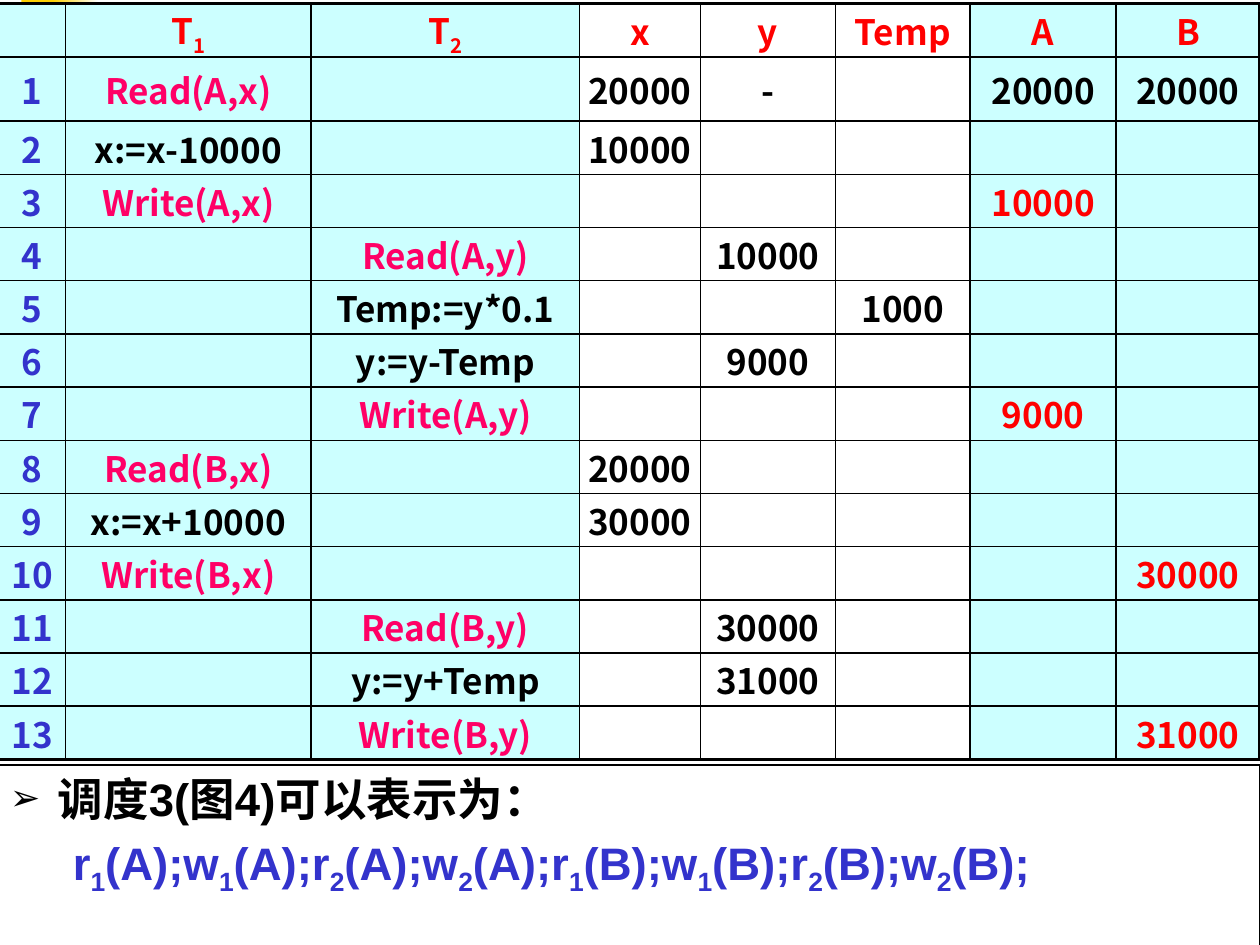
from lxml.etree import SubElement
from pptx import Presentation
from pptx.dml.color import RGBColor
from pptx.enum.shapes import MSO_SHAPE
from pptx.enum.text import MSO_ANCHOR, PP_ALIGN
from pptx.oxml.ns import qn
from pptx.util import Emu, Inches, Pt

CJK = "Noto Sans CJK SC"
BLACK, WHITE, RED, BLUE, PINK = "000000", "FFFFFF", "FF0000", "3333CC", "FF0066"
YELLOW, AQUA = "FFCF01", "CCFFFF"

HEADER = ("", "T_1", "T_2", "x", "y", "Temp", "A", "B")
STEPS = [
    ("Read(A,x)", "", "20000", "-", "", "20000", "20000"),
    ("x:=x-10000", "", "10000", "", "", "", ""),
    ("Write(A,x)", "", "", "", "", "10000", ""),
    ("", "Read(A,y)", "", "10000", "", "", ""),
    ("", "Temp:=y*0.1", "", "", "1000", "", ""),
    ("", "y:=y-Temp", "", "9000", "", "", ""),
    ("", "Write(A,y)", "", "", "", "9000", ""),
    ("Read(B,x)", "", "20000", "", "", "", ""),
    ("x:=x+10000", "", "30000", "", "", "", ""),
    ("Write(B,x)", "", "", "", "", "", "30000"),
    ("", "Read(B,y)", "", "30000", "", "", ""),
    ("", "y:=y+Temp", "", "31000", "", "", ""),
    ("", "Write(B,y)", "", "", "", "", "31000"),
]
CAPTION = "调度3(图4)可以表示为："
SCHEDULE = "r_1(A);w_1(A);r_2(A);w_2(A);r_1(B);w_1(B);r_2(B);w_2(B);"

COLUMN_WIDTHS = (0.53, 1.95, 2.13, 0.96, 1.07, 1.07, 1.16, 1.14)
LEFT, TOP, TABLE_HEIGHT, TALL_ROW = -0.01, 0.03, 6, 0.51
LOCAL_COLUMNS = (3, 4, 5)
DATA_COLUMNS = (6, 7)


def color(value):
    return RGBColor.from_string(value)


def write(paragraph, text, size, font, fill):
    pieces = text.split("_")
    spans = [(pieces[0], False)]
    for piece in pieces[1:]:
        spans += [(piece[0], True), (piece[1:], False)]
    for content, lowered in spans:
        if not content:
            continue
        span = paragraph.add_run()
        span.text = content
        span.font.size = Pt(size)
        span.font.bold = True
        span.font.color.rgb = color(fill)
        span.font.name = font
        properties = span.font._element
        SubElement(properties, qn("a:ea"), typeface=CJK)
        if lowered:
            properties.set("baseline", "-25000")


def add_borders(cell, widths):
    properties = cell._tc.get_or_add_tcPr()
    for side, width in zip("LRTB", widths):
        line = SubElement(properties, qn(f"a:ln{side}"), w=str(Pt(width)))
        solid = SubElement(line, qn("a:solidFill"))
        SubElement(solid, qn("a:srgbClr"), val=BLACK)


def text_color(row, column, text):
    if row == 0:
        return RED
    if column == 0:
        return BLUE
    if text.startswith(("Read", "Write")):
        return PINK
    return RED if row > 1 and column in DATA_COLUMNS else BLACK


def add_schedule_table(slide):
    rows = [HEADER] + [(str(number), *step) for number, step in enumerate(STEPS, 1)]
    last_row, last_column = len(rows) - 1, len(HEADER) - 1
    table = slide.shapes.add_table(
        len(rows), len(HEADER), Inches(LEFT), Inches(TOP),
        Inches(sum(COLUMN_WIDTHS)), Inches(TABLE_HEIGHT)).table
    table.first_row = table.horz_banding = False
    for column, width in zip(table.columns, COLUMN_WIDTHS):
        column.width = Inches(width)
    plain_row = (TABLE_HEIGHT - TALL_ROW) / last_row
    for r, texts in enumerate(rows):
        table.rows[r].height = Inches(TALL_ROW if r == 1 else plain_row)
        for c, text in enumerate(texts):
            cell = table.cell(r, c)
            cell.margin_left = cell.margin_right = Emu(0)
            cell.margin_top = cell.margin_bottom = Emu(0)
            cell.vertical_anchor = MSO_ANCHOR.MIDDLE
            outer = (c == 0, c == last_column, r == 0, r == last_row)
            add_borders(cell, [2.25 if edge else 1 for edge in outer])
            cell.fill.solid()
            cell.fill.fore_color.rgb = color(WHITE if c in LOCAL_COLUMNS else AQUA)
            paragraph = cell.text_frame.paragraphs[0]
            paragraph.alignment = PP_ALIGN.CENTER
            if "_" in text:
                paragraph.line_spacing = 0.95
            write(paragraph, text, 20, CJK, text_color(r, c, text))


def add_rectangle(slide, left, top, width, height):
    box = slide.shapes.add_shape(
        MSO_SHAPE.RECTANGLE, Inches(left), Inches(top), Inches(width), Inches(height))
    box.shadow.inherit = False
    return box


def add_accents(slide):
    accent = add_rectangle(slide, 0.17, 0, 0.48, 0.52)
    accent.fill.solid()
    accent.fill.fore_color.rgb = color(YELLOW)
    fade = add_rectangle(slide, 0.42, 0, 0.36, 0.52)
    fade.fill.gradient()
    fade.fill.gradient_angle = 0
    for stop, value in zip(fade.fill.gradient_stops, (YELLOW, WHITE)):
        stop.color.rgb = color(value)
    for box in (accent, fade):
        box.line.fill.background()


def indent(paragraph, margin, first_line):
    properties = paragraph._p.get_or_add_pPr()
    properties.set("marL", str(Inches(margin)))
    properties.set("indent", str(Inches(first_line)))
    return properties


def add_notation(slide):
    box = add_rectangle(slide, -0.02, 6.07, 10.02, 1.45)
    box.fill.solid()
    box.fill.fore_color.rgb = color(WHITE)
    box.line.color.rgb = color(BLACK)
    box.line.width = Pt(1.5)
    frame = box.text_frame
    frame.word_wrap = True
    frame.vertical_anchor = MSO_ANCHOR.TOP

    caption = frame.paragraphs[0]
    caption.alignment = PP_ALIGN.LEFT
    properties = indent(caption, 0.38, -0.38)
    bullet_color = SubElement(properties, qn("a:buClr"))
    SubElement(bullet_color, qn("a:srgbClr"), val=BLACK)
    SubElement(properties, qn("a:buSzPct"), val="80000")
    SubElement(properties, qn("a:buFont"), typeface="Arial")
    SubElement(properties, qn("a:buChar"), char="➢")
    write(caption, CAPTION, 26, "Arial", BLACK)

    schedule = frame.add_paragraph()
    schedule.level = 1
    schedule.alignment = PP_ALIGN.LEFT
    schedule.space_before = Pt(5.2)
    indent(schedule, 0.81, -0.31)
    write(schedule, SCHEDULE, 26, "Arial", BLUE)


def main():
    deck = Presentation()
    deck.slide_width, deck.slide_height = Inches(10), Inches(7.5)
    page = deck.slides.add_slide(deck.slide_layouts[6])
    add_accents(page)
    add_schedule_table(page)
    add_notation(page)
    deck.save("out.pptx")


if __name__ == "__main__":
    main()
